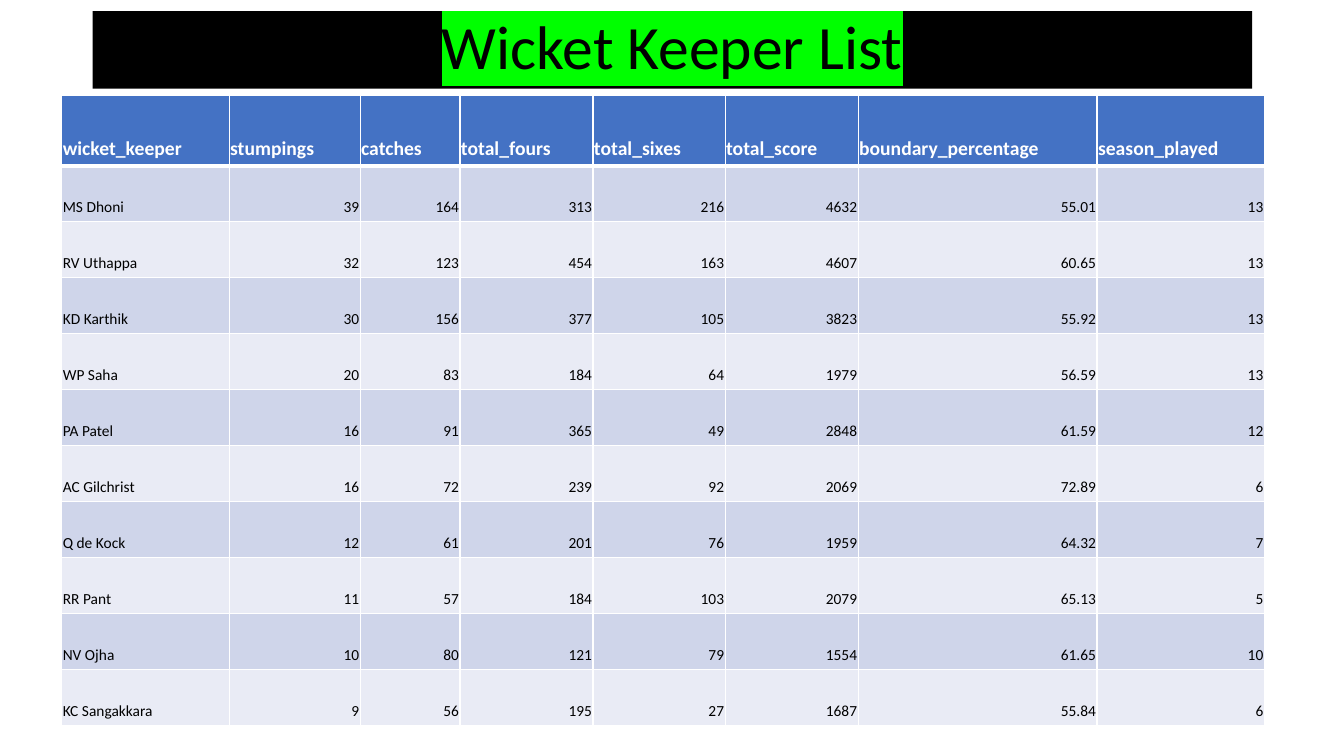
from dataclasses import dataclass

from lxml.etree import SubElement
from pptx import Presentation
from pptx.dml.color import RGBColor
from pptx.enum.shapes import MSO_SHAPE
from pptx.enum.text import MSO_ANCHOR, PP_ALIGN
from pptx.oxml.ns import qn
from pptx.slide import Slide
from pptx.table import _Cell
from pptx.text.text import TextFrame
from pptx.util import Inches, Pt

SLIDE_WIDTH, SLIDE_HEIGHT = Inches(13.33), Inches(7.5)
FONT = "Calibri"
BLACK, WHITE, GREEN = "000000", "FFFFFF", "00FF00"
HEADER_FILL, BAND_FILLS = "4472C4", ("CFD5EA", "E9EBF5")
THIN_BORDER, THICK_BORDER = 1, 3

# Row heights, as percentages of the slide height
HEADER_HEIGHT, KEEPER_HEIGHT = 9.27, 7.41


@dataclass(frozen=True)
class Area:
    """A rectangle in percentages of the slide's width and height."""
    left: float
    top: float
    width: float
    height: float


@dataclass(frozen=True)
class Column:
    heading: str
    width: float  # percentage of the slide width


@dataclass(frozen=True)
class Keeper:
    name: str
    figures: tuple[str, ...]


TITLE_AREA = Area(6.9, 1.47, 86.27, 10.27)
TABLE_LEFT, TABLE_TOP = 4.6, 12.67

COLUMNS = (
    Column("wicket_keeper", 12.45),
    Column("stumpings", 9.75),
    Column("catches", 7.43),
    Column("total_fours", 9.9),
    Column("total_sixes", 9.83),
    Column("total_score", 9.9),
    Column("boundary_percentage", 17.78),
    Column("season_played", 12.45),
)

KEEPERS = (
    Keeper("MS Dhoni", ("39", "164", "313", "216", "4632", "55.01", "13")),
    Keeper("RV Uthappa", ("32", "123", "454", "163", "4607", "60.65", "13")),
    Keeper("KD Karthik", ("30", "156", "377", "105", "3823", "55.92", "13")),
    Keeper("WP Saha", ("20", "83", "184", "64", "1979", "56.59", "13")),
    Keeper("PA Patel", ("16", "91", "365", "49", "2848", "61.59", "12")),
    Keeper("AC Gilchrist", ("16", "72", "239", "92", "2069", "72.89", "6")),
    Keeper("Q de Kock", ("12", "61", "201", "76", "1959", "64.32", "7")),
    Keeper("RR Pant", ("11", "57", "184", "103", "2079", "65.13", "5")),
    Keeper("NV Ojha", ("10", "80", "121", "79", "1554", "61.65", "10")),
    Keeper("KC Sangakkara", ("9", "56", "195", "27", "1687", "55.84", "6")),
)


def color(value: str) -> RGBColor:
    return RGBColor.from_string(value)


def across(percent: float) -> int:
    return round(SLIDE_WIDTH * percent / 100)


def down(percent: float) -> int:
    return round(SLIDE_HEIGHT * percent / 100)


def write(frame: TextFrame, text: str, *, size: float, ink: str = BLACK,
          bold: bool = False, align: PP_ALIGN = PP_ALIGN.LEFT,
          spacing: float = 1.0, highlight: str | None = None) -> None:
    paragraph = frame.paragraphs[0]
    paragraph.alignment = align
    paragraph.line_spacing = spacing
    run = paragraph.add_run()
    run.text = text
    run.font.size = Pt(size)
    run.font.bold = bold
    run.font.color.rgb = color(ink)
    if highlight:
        marker = SubElement(run.font._element, qn("a:highlight"))
        SubElement(marker, qn("a:srgbClr"), val=highlight)
    run.font.name = FONT


def add_border(cell: _Cell, side: str, width: float) -> None:
    properties = cell._tc.get_or_add_tcPr()
    line = SubElement(properties, qn(f"a:ln{side}"), w=str(Pt(width)))
    fill = SubElement(line, qn("a:solidFill"))
    SubElement(fill, qn("a:srgbClr"), val=WHITE)


def style_cell(cell: _Cell, fill: str, top: float, bottom: float) -> None:
    cell.vertical_anchor = MSO_ANCHOR.BOTTOM
    cell.margin_left = cell.margin_right = cell.margin_top = Inches(0.01)
    cell.margin_bottom = Inches(0.05)
    for side, width in (("L", THIN_BORDER), ("R", THIN_BORDER),
                        ("T", top), ("B", bottom)):
        add_border(cell, side, width)
    cell.fill.solid()
    cell.fill.fore_color.rgb = color(fill)


def add_keeper_table(slide: Slide) -> None:
    heights = [HEADER_HEIGHT] + [KEEPER_HEIGHT] * len(KEEPERS)
    table = slide.shapes.add_table(
        len(heights), len(COLUMNS), across(TABLE_LEFT), down(TABLE_TOP),
        across(sum(column.width for column in COLUMNS)), down(sum(heights)),
    ).table
    for table_row, height in zip(table.rows, heights):
        table_row.height = down(height)

    # Header row
    for index, column in enumerate(COLUMNS):
        table.columns[index].width = across(column.width)
        cell = table.cell(0, index)
        style_cell(cell, HEADER_FILL, THIN_BORDER, THICK_BORDER)
        write(cell.text_frame, column.heading, size=14, ink=WHITE, bold=True)

    # One banded row per keeper
    for row, keeper in enumerate(KEEPERS, start=1):
        top = THICK_BORDER if row == 1 else THIN_BORDER
        for index, text in enumerate((keeper.name, *keeper.figures)):
            cell = table.cell(row, index)
            style_cell(cell, BAND_FILLS[(row - 1) % 2], top, THIN_BORDER)
            write(cell.text_frame, text, size=11,
                  align=PP_ALIGN.RIGHT if index else PP_ALIGN.LEFT)


def add_title(slide: Slide, text: str, area: Area) -> None:
    shape = slide.shapes.add_shape(
        MSO_SHAPE.RECTANGLE, across(area.left), down(area.top),
        across(area.width), down(area.height))
    shape.shadow.inherit = False
    shape.fill.solid()
    shape.fill.fore_color.rgb = color(BLACK)
    shape.line.fill.background()
    frame = shape.text_frame
    frame.word_wrap = True
    frame.vertical_anchor = MSO_ANCHOR.MIDDLE
    write(frame, text, size=44, align=PP_ALIGN.CENTER, spacing=0.9,
          highlight=GREEN)


def main() -> None:
    presentation = Presentation()
    presentation.slide_width = SLIDE_WIDTH
    presentation.slide_height = SLIDE_HEIGHT
    slide = presentation.slides.add_slide(presentation.slide_layouts[6])
    add_keeper_table(slide)
    add_title(slide, "Wicket Keeper List", TITLE_AREA)
    presentation.save("out.pptx")


if __name__ == "__main__":
    main()
